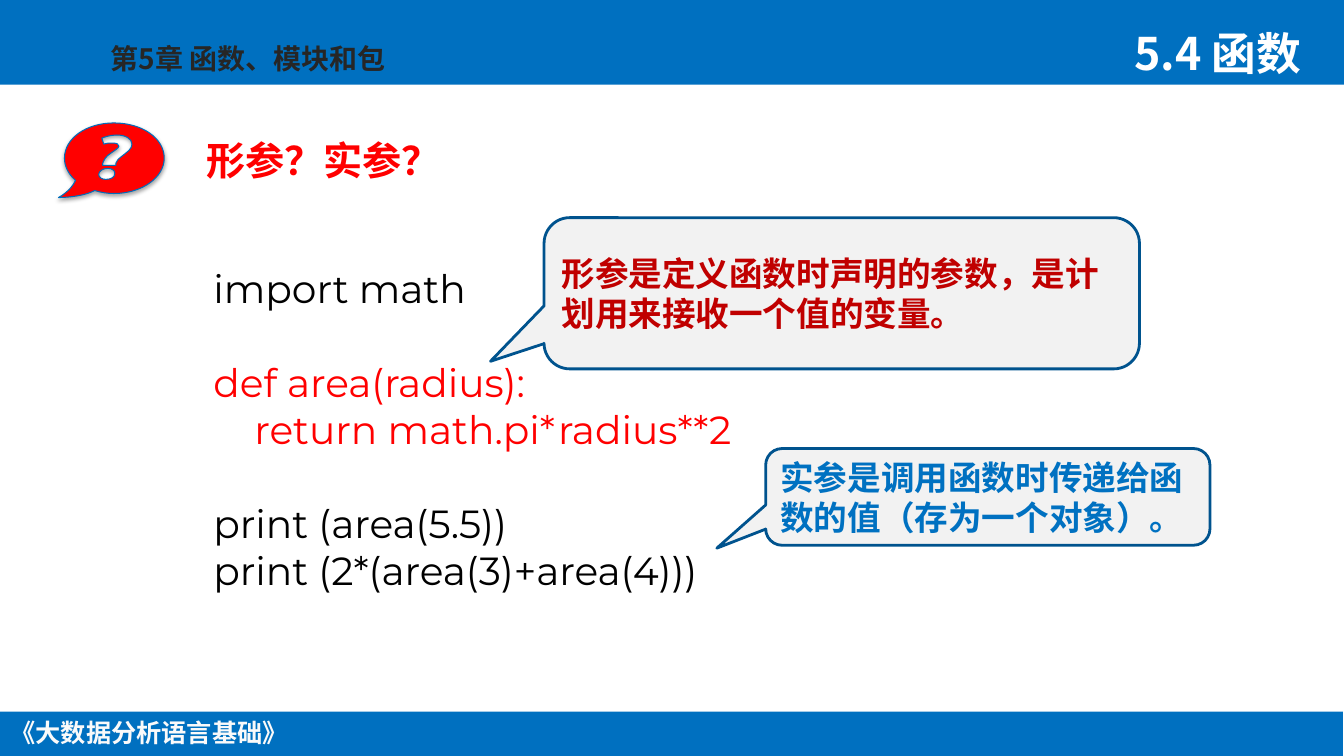
from dataclasses import dataclass

from lxml.etree import SubElement
from pptx import Presentation
from pptx.dml.color import RGBColor
from pptx.enum.shapes import MSO_SHAPE
from pptx.enum.text import MSO_ANCHOR, PP_ALIGN
from pptx.oxml.ns import qn
from pptx.util import Emu, Pt


@dataclass(frozen=True)
class Theme:
    chinese: str = "Noto Sans CJK SC"
    code: str = "Montserrat"
    band: str = "0070C0"
    white: str = "FFFFFF"
    footer: str = "FAFAFA"
    chapter: str = "262626"
    red: str = "FF0000"
    black: str = "000000"
    bubble: str = "F2F2F2"
    bubble_line: str = "00538E"
    icon_line: str = "006EBC"
    formal: str = "C00000"
    actual: str = "0071C1"
    footer_size: int = 18
    chapter_size: int = 20
    callout_size: int = 24
    body_size: int = 28
    title_size: int = 32
    code_gap: float = 33.6


THEME = Theme()
PX = 9144
SLIDE_SIZE = (1334, 750)

BANDS = [(0, 0, 1334, 84), (-1, 706, 1334, 45)]

LABELS = [
    ("《大数据分析语言基础》", (-1, 707, 298, 40), THEME.footer_size, THEME.footer, PP_ALIGN.CENTER, MSO_ANCHOR.TOP),
    ("第5章 函数、模块和包", (100, 36, 378, 44), THEME.chapter_size, THEME.chapter, PP_ALIGN.LEFT, MSO_ANCHOR.TOP),
    ("5.4 函数", (1116, 21, 221, 64), THEME.title_size, THEME.white, PP_ALIGN.LEFT, MSO_ANCHOR.TOP),
    ("形参？实参？", (195, 112, 327, 94), THEME.body_size, THEME.red, PP_ALIGN.LEFT, MSO_ANCHOR.MIDDLE),
]

CODE_BOX = (202, 257, 798, 340)
CODE_BLOCKS = [
    (THEME.black, ["import math"]),
    (THEME.red, ["def area(radius):", "    return math.pi*radius**2"]),
    (THEME.black, ["print (area(5.5))", "print (2*(area(3)+area(4)))"]),
]

CALLOUTS = [
    ("形参是定义函数时声明的参数，是计划用来接收一个值的变量。", (540, 216, 591, 150), (-0.59, 0.45, 0.17), THEME.formal),
    ("实参是调用函数时传递给函数的值（存为一个对象）。", (760, 445, 441, 96), (-0.61, 0.53, 0.17), THEME.actual),
]

QUESTION_ICON = [
    [(113, 192), (107, 192), (100, 191), (94, 189), (81, 196), (58, 196), (58, 196),
     (58, 196), (70, 190), (75, 179), (68, 173), (64, 165), (64, 157),
     (64, 137), (86, 122), (113, 122), (141, 122), (163, 137), (163, 157),
     (163, 176), (141, 192), (113, 192)],
    [(98, 173), (98, 176), (101, 178), (105, 178), (110, 178), (114, 176), (114, 172),
     (114, 169), (111, 167), (107, 167), (102, 167), (98, 170), (98, 173)],
    [(116, 134), (109, 134), (104, 136), (101, 137), (103, 143), (103, 143), (103, 143),
     (105, 142), (108, 142), (112, 142), (116, 142), (118, 143), (118, 145),
     (118, 147), (114, 149), (110, 152), (105, 155), (103, 159), (102, 162),
     (102, 163), (102, 163), (102, 164), (115, 164), (115, 164), (115, 164),
     (115, 163), (115, 163), (115, 162), (116, 159), (118, 157), (121, 155),
     (126, 151), (131, 148), (131, 143), (131, 138), (125, 134), (116, 134)],
]


def color(value):
    return RGBColor.from_string(value)


def place(box):
    return [Emu(length * PX) for length in box]


def paint(shape, fill, line=None, width=0):
    shape.shadow.inherit = False
    shape.fill.solid()
    shape.fill.fore_color.rgb = color(fill)
    if line:
        shape.line.color.rgb = color(line)
        shape.line.width = Pt(width)
    else:
        shape.line.fill.background()


def add_run(paragraph, text, typeface, size, ink, bold=False):
    run = paragraph.add_run()
    run.text = text
    run.font.name = typeface
    run.font.size = Pt(size)
    run.font.bold = bold
    run.font.color.rgb = color(ink)
    SubElement(run.font._element, qn("a:ea"), typeface=typeface)


def add_label(slide, text, box, size, ink, alignment, anchor):
    frame = slide.shapes.add_textbox(*place(box)).text_frame
    frame.word_wrap = alignment != PP_ALIGN.CENTER
    frame.vertical_anchor = anchor
    paragraph = frame.paragraphs[0]
    paragraph.alignment = alignment
    add_run(paragraph, text, THEME.chinese, size, ink, True)


def add_code(slide):
    frame = slide.shapes.add_textbox(*place(CODE_BOX)).text_frame
    frame.word_wrap = True
    paragraph = frame.paragraphs[0]
    for block_index, (ink, lines) in enumerate(CODE_BLOCKS):
        for line_index, line in enumerate(lines):
            if block_index or line_index:
                paragraph = frame.add_paragraph()
            if block_index and not line_index:
                paragraph.space_before = Pt(THEME.code_gap)
            add_run(paragraph, line, THEME.code, THEME.body_size, ink)


def add_callout(slide, text, box, adjustments, ink):
    shape = slide.shapes.add_shape(MSO_SHAPE.ROUNDED_RECTANGULAR_CALLOUT, *place(box))
    for index, value in enumerate(adjustments):
        shape.adjustments[index] = value
    paint(shape, THEME.bubble, THEME.bubble_line, 2)
    frame = shape.text_frame
    frame.word_wrap = True
    frame.vertical_anchor = MSO_ANCHOR.MIDDLE
    paragraph = frame.paragraphs[0]
    paragraph.alignment = PP_ALIGN.LEFT
    add_run(paragraph, text, THEME.chinese, THEME.callout_size, ink, True)


def bend_segments(shape, outlines):
    left, top = (min(point[axis] for outline in outlines for point in outline) for axis in (0, 1))
    curves = [outline[first:first + 3] for outline in outlines for first in range(1, len(outline), 3)]
    segments = list(shape._element.spPr.iter(qn("a:lnTo")))
    for segment, curve in zip(segments, curves):
        segment.tag = qn("a:cubicBezTo")
        segment.remove(segment[0])
        for x, y in curve:
            SubElement(segment, qn("a:pt"), x=str(x - left), y=str(y - top))


def add_question_icon(slide):
    builder = slide.shapes.build_freeform(*QUESTION_ICON[0][0], scale=PX)
    for index, outline in enumerate(QUESTION_ICON):
        if index:
            builder.move_to(*outline[0])
        builder.add_line_segments(outline[3::3], close=True)
    shape = builder.convert_to_shape()
    bend_segments(shape, QUESTION_ICON)
    paint(shape, THEME.red, THEME.icon_line, 0.75)
    effects = shape._element.spPr.find(qn("a:effectLst"))
    shadow = SubElement(effects, qn("a:outerShdw"), blurRad=str(Pt(3.1)), dist=str(Pt(1.8)),
                        dir="5400000", rotWithShape="0")
    shade = SubElement(shadow, qn("a:srgbClr"), val=THEME.black)
    SubElement(shade, qn("a:alpha"), val="35000")


def main():
    presentation = Presentation()
    presentation.slide_width, presentation.slide_height = place(SLIDE_SIZE)
    slide = presentation.slides.add_slide(presentation.slide_layouts[6])
    for box in BANDS:
        paint(slide.shapes.add_shape(MSO_SHAPE.RECTANGLE, *place(box)), THEME.band)
    for label in LABELS:
        add_label(slide, *label)
    add_question_icon(slide)
    add_code(slide)
    for callout in CALLOUTS:
        add_callout(slide, *callout)
    presentation.save("out.pptx")


if __name__ == "__main__":
    main()
